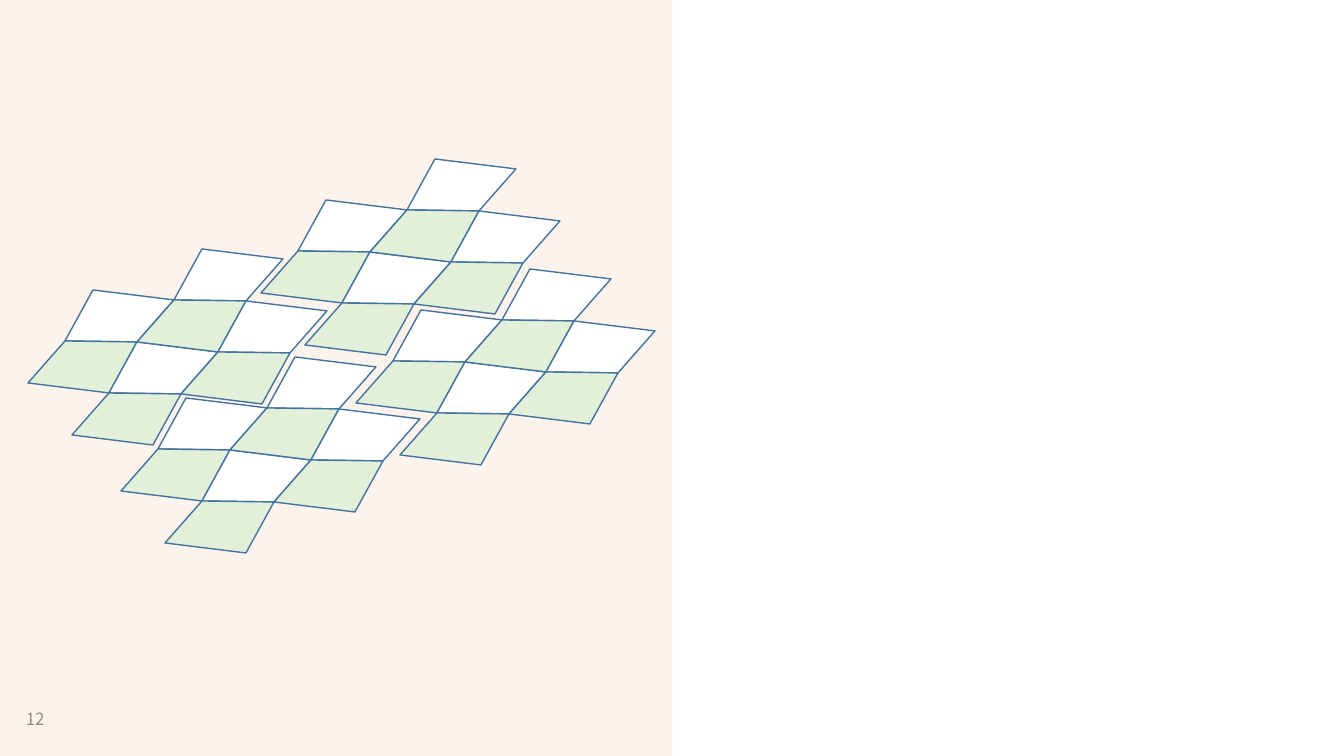
from lxml import etree
from pptx import Presentation, util as u
from pptx.dml.color import RGBColor
from pptx.enum import shapes, text
from pptx.oxml.ns import qn

PX = 9071
SLIDE = (1344, 756)
PANEL = {"box": (0, 0, 672, 756), "fill": "F4B183", "alpha": 14}
EDGE = {"ends": (672, 756, 672, 0), "color": "FBE5D6", "width": 0.25, "alpha": 50}
NUMBER = {"text": "12", "box": (16, 699, 68, 39), "color": "8C8C8C"}
NUMBER_FONT = {"size": u.Pt(12), "name": "Noto Sans CJK SC"}
NUMBER_FRAME = {"word_wrap": True, "vertical_anchor": text.MSO_ANCHOR.MIDDLE}

BOARDS = [(65, 341), (298, 251), (158, 449), (393, 361)]
COLUMNS, ROWS = 2, 2
COLUMN_STEP = (109, -41)
ROW_STEP = (44, 52)
RIDGE = (72, 1)
TILE_LINE = ("43739E", 1)
LIGHT, GREEN = "FFFFFF", "E2F0D9"


def rgb(value):
    return RGBColor.from_string(value)


def emu(values):
    return [v * PX for v in values]


def add(a, b):
    return a[0] + b[0], a[1] + b[1]


def sub(a, b):
    return a[0] - b[0], a[1] - b[1]


def set_attrs(obj, values):
    for name, value in values.items():
        setattr(obj, name, value)


def set_fill(fill, color, alpha=None):
    fill.solid()
    fill.fore_color.rgb = rgb(color)
    if alpha is not None:
        clr = fill._xPr.find(".//" + qn("a:srgbClr"))
        etree.SubElement(clr, qn("a:alpha")).set("val", str(alpha * 1000))


def add_tile(group, corners, color):
    builder = group.shapes.build_freeform(*corners[0], scale=PX)
    builder.add_line_segments(corners[1:], close=True)
    sp = builder.convert_to_shape()
    sp.shadow.inherit = False
    set_fill(sp.fill, color)
    line_color, width = TILE_LINE
    set_fill(sp.line.fill, line_color)
    sp.line.width = u.Pt(width)


def add_board(s, origin):
    group = s.shapes.add_group_shape()
    light = [(0, 0), sub(RIDGE, ROW_STEP), COLUMN_STEP, RIDGE]
    green = [RIDGE, ROW_STEP, sub(RIDGE, COLUMN_STEP), (0, 0)]
    for column in range(COLUMNS):
        for row in range(ROWS):
            shift = [column * c + row * r for c, r in zip(COLUMN_STEP, ROW_STEP)]
            start = add(origin, shift)
            for corners, color in ((light, LIGHT), (green, GREEN)):
                add_tile(group, [add(start, corner) for corner in corners], color)


def main():
    prs = Presentation()
    prs.slide_width, prs.slide_height = emu(SLIDE)
    s = prs.slides.add_slide(prs.slide_layouts[6])

    panel = s.shapes.add_shape(shapes.MSO_SHAPE.RECTANGLE, *emu(PANEL["box"]))
    panel.shadow.inherit = False
    set_fill(panel.fill, PANEL["fill"], PANEL["alpha"])
    panel.line.fill.background()

    edge = s.shapes.add_connector(shapes.MSO_CONNECTOR.STRAIGHT, *emu(EDGE["ends"]))
    set_fill(edge.line.fill, EDGE["color"], EDGE["alpha"])
    edge.line.width = u.Pt(EDGE["width"])
    etree.SubElement(edge._element.spPr, qn("a:effectLst"))

    tf = s.shapes.add_textbox(*emu(NUMBER["box"])).text_frame
    set_attrs(tf, NUMBER_FRAME)
    r = tf.paragraphs[0].add_run()
    r.text = NUMBER["text"]
    set_attrs(r.font, NUMBER_FONT)
    r.font.color.rgb = rgb(NUMBER["color"])

    for origin in BOARDS:
        add_board(s, origin)

    prs.save("out.pptx")


if __name__ == "__main__":
    main()
